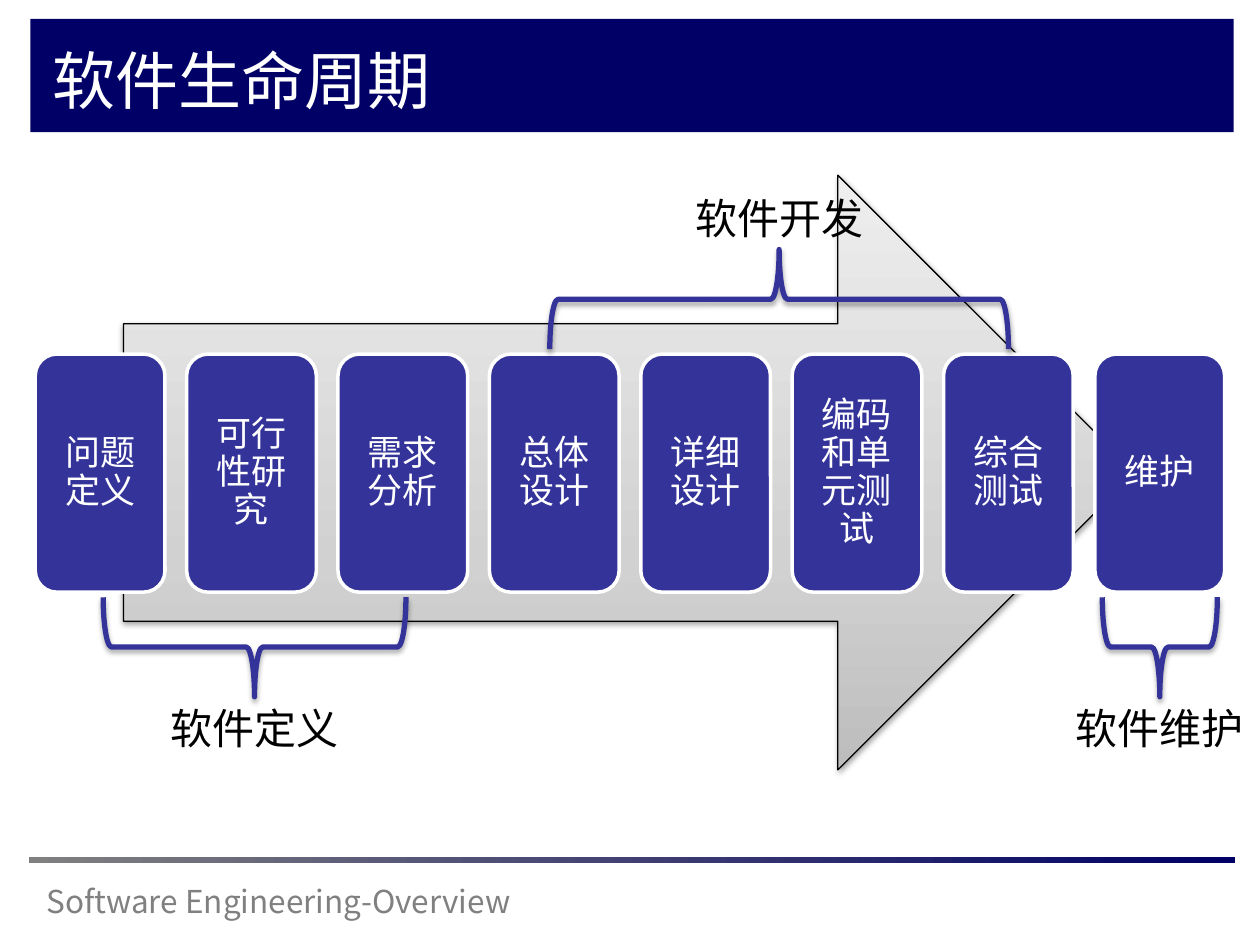
from dataclasses import dataclass

from lxml import etree
from pptx import Presentation
from pptx import util as u
from pptx.dml.color import RGBColor
from pptx.enum import shapes, text
from pptx.oxml import ns

WIDTH, HEIGHT = 10, 7.5


@dataclass(frozen=True)
class Theme:
    font: str = "Noto Sans CJK SC"
    navy: str = "000066"
    indigo: str = "333399"
    gray: str = "808080"
    white: str = "FFFFFF"
    black: str = "000000"
    arrow_stops: tuple = ((0, "BDBDBD"), (35, "D1D1D1"), (100, "EEEEEE"))
    title_size: int = 36
    label_size: int = 24
    step_size: int = 20
    footer_size: int = 18


@dataclass(frozen=True)
class Box:
    left: float
    top: float
    width: float
    height: float

    def emu(self) -> tuple:
        return tuple(u.Inches(v) for v in (self.left, self.top, self.width, self.height))


@dataclass(frozen=True)
class StepGrid:
    left: float = 0.28
    top: float = 2.81
    pitch: float = 8.41 / 7
    width: float = 1.03
    height: float = 1.89

    def cell(self, column: int) -> Box:
        return Box(self.left + column * self.pitch, self.top, self.width, self.height)

    def center(self, column: float) -> float:
        return self.left + self.width / 2 + column * self.pitch


@dataclass(frozen=True)
class Phase:
    """A bracketed run of steps; first and last are grid columns."""
    label: str
    first: float
    last: float
    above: bool = False


THEME = Theme()
GRID = StepGrid()
BRACE_DEPTH, BRACE_GAP = 0.79, 0.04
LABEL_WIDTH, LABEL_HEIGHT = 1.62, 0.5
STEPS = ["问题定义", "可行性研究", "需求分析", "总体设计",
         "详细设计", "编码和单元测试", "综合测试", "维护"]
PHASES = [
    Phase("软件定义", 0.02, 2.02),
    Phase("软件开发", 2.97, 6.0, above=True),
    Phase("软件维护", 6.62, 7.38),
]


def color(value: str) -> RGBColor:
    return RGBColor.from_string(value)


def add_child(parent, tag: str, **attributes):
    return etree.SubElement(parent, ns.qn(tag), {k: str(v) for k, v in attributes.items()})


def add_shape(slide, kind, box: Box, fill: str = "", line: str = "", weight: float = 1):
    shape = slide.shapes.add_shape(kind, *box.emu())
    shape.shadow.inherit = False
    if fill:
        shape.fill.solid()
        shape.fill.fore_color.rgb = color(fill)
    else:
        shape.fill.background()
    if line:
        shape.line.color.rgb = color(line)
        shape.line.width = u.Pt(weight)
    else:
        shape.line.fill.background()
    return shape


def set_gradient(shape, stops: tuple, angle: int) -> None:
    shape.fill.gradient()
    gradient = shape._element.spPr.find(ns.qn("a:gradFill"))
    stop_list = gradient.find(ns.qn("a:gsLst"))
    for stop in list(stop_list):
        stop_list.remove(stop)
    for position, value in stops:
        add_child(add_child(stop_list, "a:gs", pos=position * 1000), "a:srgbClr", val=value)
    gradient.find(ns.qn("a:lin")).set("ang", str(angle * 60000))


def set_shadow(shape, opacity: int, distance: float) -> None:
    effects = shape._element.spPr.find(ns.qn("a:effectLst"))
    shadow = add_child(effects, "a:outerShdw", blurRad=u.Pt(3.1), dist=u.Pt(distance),
                       dir=90 * 60000, rotWithShape=0)
    add_child(add_child(shadow, "a:srgbClr", val=THEME.black), "a:alpha", val=opacity * 1000)


def write(shape, words: str, size: int, ink: str, align=text.PP_ALIGN.LEFT,
          anchor=text.MSO_ANCHOR.TOP):
    frame = shape.text_frame
    frame.word_wrap = True
    frame.auto_size = text.MSO_AUTO_SIZE.NONE
    frame.vertical_anchor = anchor
    paragraph = frame.paragraphs[0]
    paragraph.text = words
    paragraph.alignment = align
    font = paragraph.font
    font.name, font.size = THEME.font, u.Pt(size)
    font.color.rgb = color(ink)
    add_child(font._element, "a:ea", typeface=THEME.font)
    return paragraph


def add_text(slide, box: Box, *style) -> None:
    write(slide.shapes.add_textbox(*box.emu()), *style)


def add_frame(slide) -> None:
    """Draw the title banner, the footer and its rule."""
    add_shape(slide, shapes.MSO_SHAPE.RECTANGLE, Box(0.24, 0.15, 9.55, 0.9), THEME.navy)
    add_text(slide, Box(0.27, 6.95, 5.17, 0.4), "Software Engineering-Overview",
             THEME.footer_size, THEME.gray)
    rule = add_shape(slide, shapes.MSO_SHAPE.RECTANGLE, Box(0.23, 6.8, 9.57, 0.05))
    set_gradient(rule, ((0, THEME.gray), (100, THEME.navy)), 0)
    title = slide.shapes.title
    title.left, title.top, title.width, title.height = Box(0.32, 0.26, 8.81, 0.74).emu()
    write(title, "软件生命周期", THEME.title_size, THEME.white, text.PP_ALIGN.LEFT,
          text.MSO_ANCHOR.MIDDLE)
    slide.shapes._spTree.append(title._element)  # bring in front of the banner


def add_arrow(slide) -> None:
    arrow = add_shape(slide, shapes.MSO_SHAPE.RIGHT_ARROW, Box(0.98, 1.39, 8.03, 4.72),
                      line=THEME.black, weight=0.75)
    set_gradient(arrow, THEME.arrow_stops, 270)
    set_shadow(arrow, 38, 1.6)


def add_step(slide, column: int, words: str) -> None:
    step = add_shape(slide, shapes.MSO_SHAPE.ROUNDED_RECTANGLE, GRID.cell(column),
                     THEME.indigo, THEME.white, 2)
    frame = step.text_frame
    frame.margin_left = frame.margin_right = u.Inches(0.08)
    frame.margin_top = frame.margin_bottom = u.Inches(0.08)
    paragraph = write(step, words, THEME.step_size, THEME.white, text.PP_ALIGN.CENTER,
                      text.MSO_ANCHOR.MIDDLE)
    paragraph.line_spacing = 0.9


def add_phase(slide, phase: Phase) -> None:
    span = (phase.last - phase.first) * GRID.pitch
    center = GRID.center((phase.first + phase.last) / 2)
    if phase.above:
        brace_top = GRID.top - BRACE_GAP - BRACE_DEPTH
        label_top = brace_top - LABEL_HEIGHT
    else:
        brace_top = GRID.top + GRID.height + BRACE_GAP
        label_top = brace_top + BRACE_DEPTH
    box = Box(center - BRACE_DEPTH / 2, brace_top + (BRACE_DEPTH - span) / 2, BRACE_DEPTH, span)
    brace = add_shape(slide, shapes.MSO_SHAPE.LEFT_BRACE, box, line=THEME.indigo, weight=3)
    brace.rotation = 90 if phase.above else 270
    set_shadow(brace, 35, 1.8)
    add_text(slide, Box(center - LABEL_WIDTH / 2, label_top, LABEL_WIDTH, LABEL_HEIGHT),
             phase.label, THEME.label_size, THEME.black, text.PP_ALIGN.CENTER)


def main() -> None:
    presentation = Presentation()
    presentation.slide_width, presentation.slide_height = u.Inches(WIDTH), u.Inches(HEIGHT)
    slide = presentation.slides.add_slide(presentation.slide_layouts[5])
    add_frame(slide)
    add_arrow(slide)
    for column, words in enumerate(STEPS):
        add_step(slide, column, words)
    for phase in PHASES:
        add_phase(slide, phase)
    presentation.save("out.pptx")


if __name__ == "__main__":
    main()
